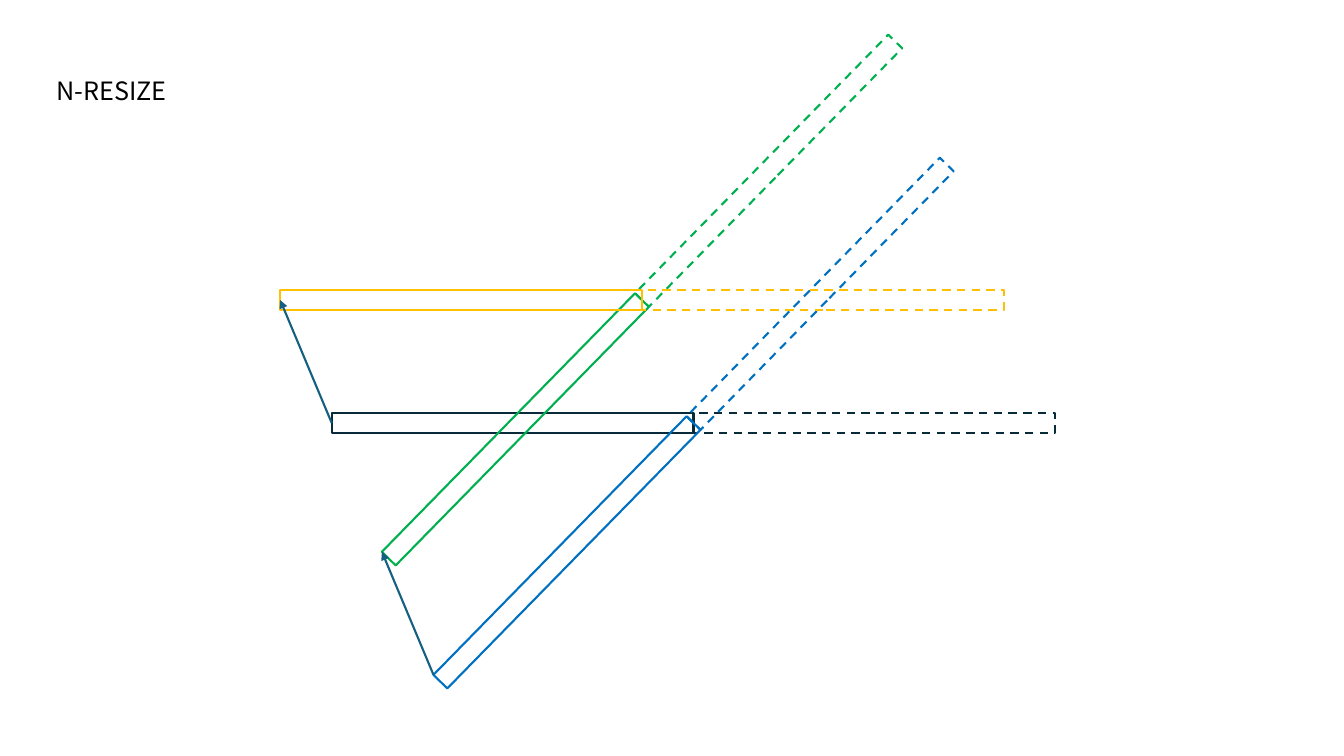
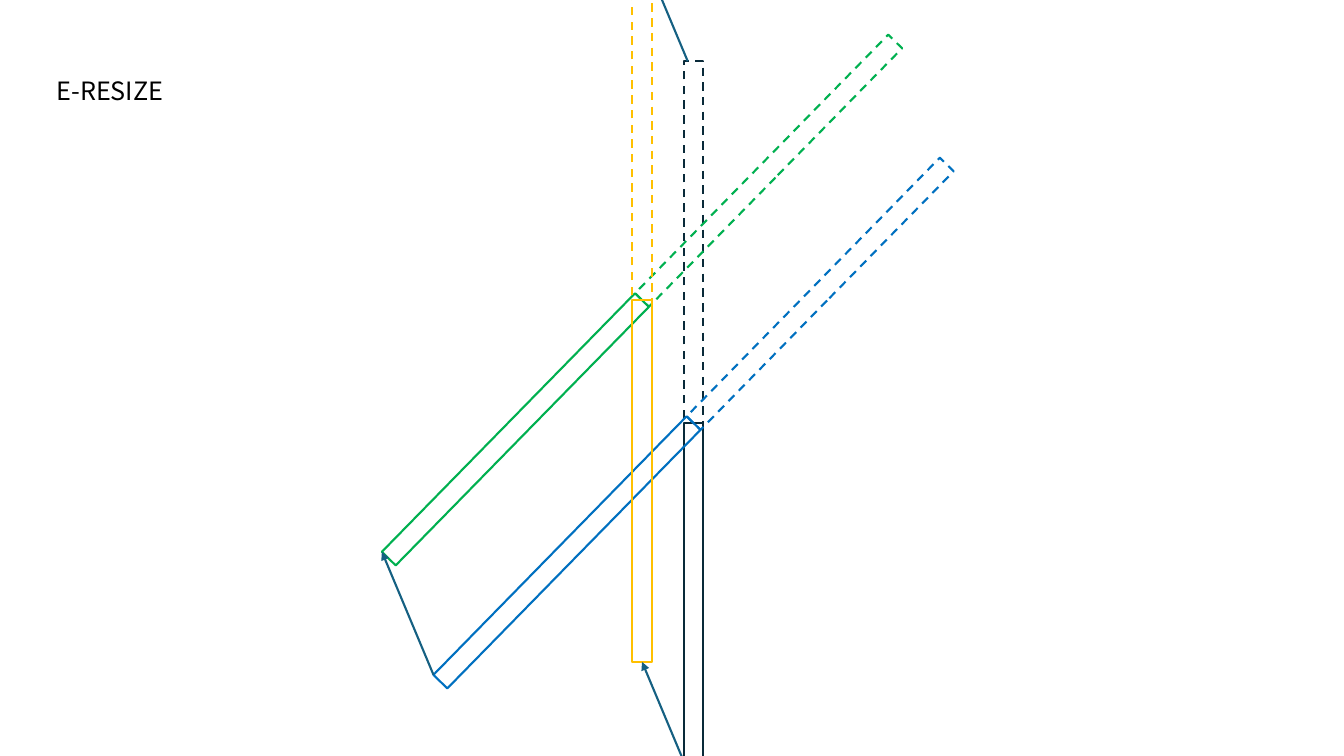
from math import cos, radians, sin

from lxml import etree
from pptx import Presentation
from pptx.dml.color import RGBColor
from pptx.enum.dml import MSO_LINE
from pptx.enum.shapes import MSO_CONNECTOR, MSO_SHAPE
from pptx.enum.text import MSO_ANCHOR, MSO_AUTO_SIZE, PP_ALIGN
from pptx.oxml.ns import qn
from pptx.util import Cm, Pt

RECT = MSO_SHAPE.RECTANGLE
STRAIGHT = MSO_CONNECTOR.STRAIGHT
DASH = MSO_LINE.DASH
LEFT = PP_ALIGN.LEFT
MIDDLE = MSO_ANCHOR.MIDDLE
NO_FIT = MSO_AUTO_SIZE.NONE

BLACK = RGBColor(0x00, 0x00, 0x00)
NAVY = RGBColor(0x09, 0x2A, 0x39)
BLUE = RGBColor(0x00, 0x70, 0xC0)
GREEN = RGBColor(0x00, 0xB0, 0x50)
YELLOW = RGBColor(0xFF, 0xC0, 0x00)
TEAL = RGBColor(0x15, 0x60, 0x82)

FONT = "Noto Sans CJK JP"
LINE_WIDTH = Pt(1.5)
LENGTH, THICK = 9.12, 0.49
SLANT = 45.6
DX, DY = -1.3, -3.1
PIVOT = (17.48, 10.66)
MOVED = (PIVOT[0] + DX, PIVOT[1] + DY)


def add_bar(slide, pivot, angle, color):
    group = slide.shapes.add_group_shape()
    upright = angle == 90
    w, h = (THICK, LENGTH) if upright else (LENGTH, THICK)
    bars = []
    for side in (-1, 1):
        x = pivot[0] + side * LENGTH / 2 * cos(radians(angle))
        y = pivot[1] - side * LENGTH / 2 * sin(radians(angle))
        sp = group.shapes.add_shape(RECT, Cm(x - w / 2), Cm(y - h / 2), Cm(w), Cm(h))
        sp.rotation = 0 if upright else -angle % 360
        sp.shadow.inherit = False
        sp.fill.background()
        sp.line.color.rgb = color
        sp.line.width = LINE_WIDTH
        if side == 1:
            sp.line.dash_style = DASH
        bars.append(sp)
    return bars[0]


def add_arrow(slide, x, y):
    arrow = slide.shapes.add_connector(STRAIGHT, Cm(x), Cm(y), Cm(x + DX), Cm(y + DY))
    arrow.line.color.rgb = TEAL
    arrow.line.width = LINE_WIDTH
    etree.SubElement(arrow.line._get_or_add_ln(), qn("a:tailEnd"), type="triangle")
    etree.SubElement(arrow._element.spPr, qn("a:effectLst"))
    return arrow


prs = Presentation()
prs.slide_width, prs.slide_height = Cm(33.87), Cm(19.05)

end_x, end_y = PIVOT[0] - LENGTH, PIVOT[1] + LENGTH
corner_x = PIVOT[0] - LENGTH * cos(radians(SLANT)) - THICK / 2 * sin(radians(SLANT))
corner_y = PIVOT[1] + LENGTH * sin(radians(SLANT)) - THICK / 2 * cos(radians(SLANT))

for title, angle, start, site in (
    ("N-RESIZE", 0, (end_x, PIVOT[1]), 1),
    ("E-RESIZE", 90, (PIVOT[0], end_y), 2),
):
    slide = prs.slides.add_slide(prs.slide_layouts[5])
    sp = slide.shapes.title
    sp.left, sp.top, sp.width, sp.height = Cm(1.17), Cm(1.78), Cm(16.94), Cm(1.02)
    tf = sp.text_frame
    tf.text = title
    tf.auto_size = NO_FIT
    tf.vertical_anchor = MIDDLE
    p = tf.paragraphs[0]
    p.alignment = LEFT
    r = p.runs[0]
    r.font.name = FONT
    r.font.size = Pt(18)
    r.font.color.rgb = BLACK

    before = add_bar(slide, PIVOT, angle, NAVY)
    add_bar(slide, PIVOT, SLANT, BLUE)
    add_bar(slide, MOVED, SLANT, GREEN)
    after = add_bar(slide, MOVED, angle, YELLOW)

    arrow = add_arrow(slide, *start)
    arrow.begin_connect(before, site)
    arrow.end_connect(after, site)
    add_arrow(slide, corner_x, corner_y)
    if angle == 90:
        add_arrow(slide, PIVOT[0] - 0.15, PIVOT[1] - LENGTH)

prs.save("out.pptx")
